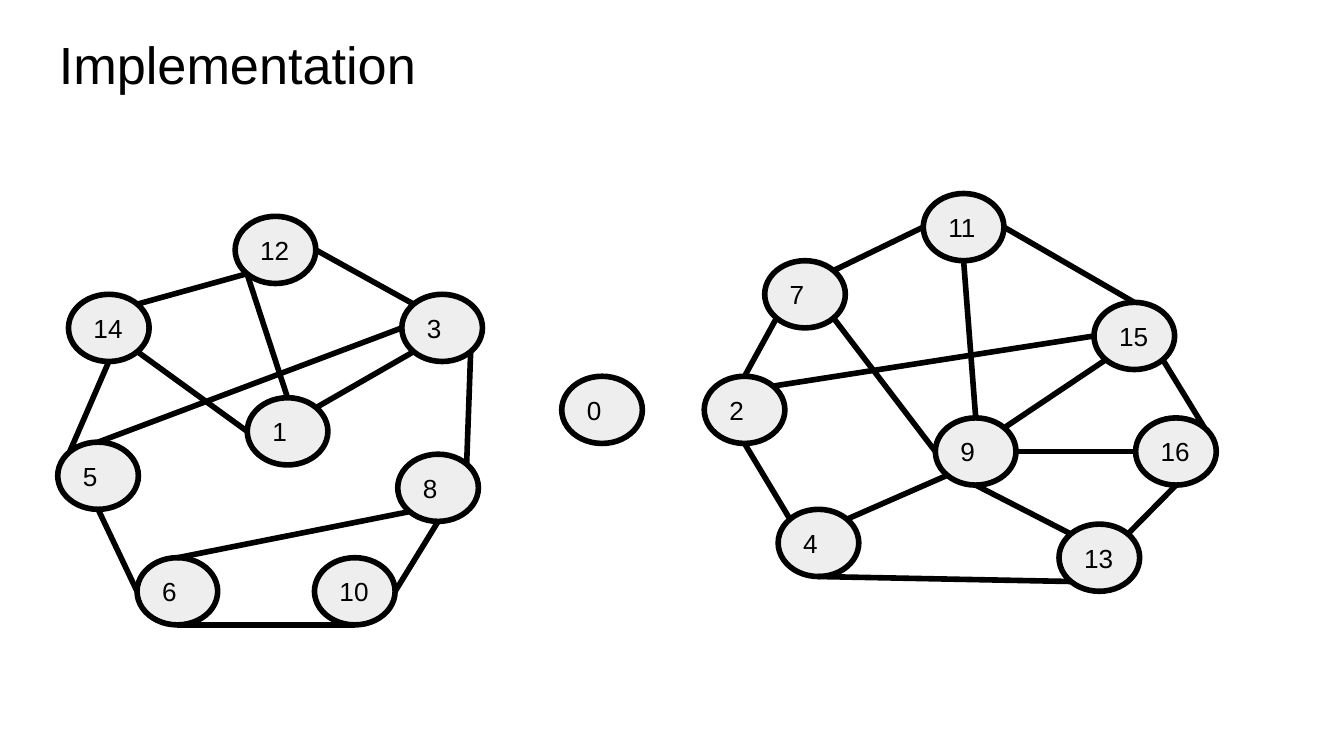
import math

import pptx
import pptx.dml.color
import pptx.enum.shapes
import pptx.enum.text
import pptx.oxml
import pptx.util
from pptx.util import Inches

BLACK = pptx.dml.color.RGBColor(0x00, 0x00, 0x00)
NODE_FILL = pptx.dml.color.RGBColor(0xEE, 0xEE, 0xEE)
FONT = "Arial"
LINE_WIDTH = pptx.util.Pt(3)
SLIDE_WIDTH = Inches(10)
SLIDE_HEIGHT = SLIDE_WIDTH * 9 // 16
NODE_WIDTH, NODE_HEIGHT = 0.6, 0.5

TITLE = "Implementation"

# Label: left and top of each node
NODES = {
    12: (1.75, 1.61), 14: (0.51, 2.19), 3: (2.99, 2.19), 1: (1.84, 2.96),
    8: (2.96, 3.38), 5: (0.43, 3.29), 6: (1.02, 4.15), 10: (2.34, 4.15),
    0: (4.18, 2.8),
    11: (6.87, 1.44), 7: (5.69, 1.94), 15: (8.14, 2.25), 2: (5.24, 2.8),
    4: (5.79, 3.79), 16: (8.45, 3.11), 9: (6.96, 3.11), 13: (7.88, 3.9),
}

# Each edge joins a compass point of one node to a compass point of another
EDGES = [
    (12, "sw", 14, "ne"), (12, "sw", 1, "n"), (3, "se", 8, "ne"),
    (8, "s", 10, "e"), (10, "s", 6, "s"), (6, "w", 5, "s"),
    (14, "se", 1, "w"), (1, "ne", 3, "sw"), (3, "w", 5, "n"),
    (8, "sw", 6, "n"),
    (11, "w", 7, "ne"), (11, "e", 15, "n"), (15, "se", 16, "ne"),
    (16, "s", 13, "ne"), (2, "s", 4, "nw"), (7, "sw", 2, "n"),
    (2, "ne", 15, "w"), (9, "sw", 4, "ne"), (9, "s", 13, "nw"),
    (4, "s", 13, "sw"), (9, "e", 16, "w"), (11, "s", 9, "n"),
    (15, "sw", 9, "ne"), (9, "w", 7, "se"),
    (5, "nw", 14, "s"), (3, "nw", 12, "e"),
]
COMPASS = ["e", "se", "s", "sw", "w", "nw", "n", "ne"]


def write_text(shape, text, size, anchor):
    frame = shape.text_frame
    frame.word_wrap = True
    frame.vertical_anchor = anchor
    frame.margin_left = frame.margin_right = Inches(0.1)
    frame.margin_top = frame.margin_bottom = Inches(0.1)
    paragraph = frame.paragraphs[0]
    paragraph.text = text
    paragraph.alignment = pptx.enum.text.PP_ALIGN.LEFT
    paragraph.font.name = FONT
    paragraph.font.size = pptx.util.Pt(size)
    paragraph.font.color.rgb = BLACK


def add_node(slide, label, left, top):
    node = slide.shapes.add_shape(
        pptx.enum.shapes.MSO_SHAPE.OVAL, Inches(left), Inches(top),
        Inches(NODE_WIDTH), Inches(NODE_HEIGHT))
    node.shadow.inherit = False
    node.fill.solid()
    node.fill.fore_color.rgb = NODE_FILL
    node.line.color.rgb = BLACK
    node.line.width = LINE_WIDTH
    write_text(node, str(label), 14, pptx.enum.text.MSO_ANCHOR.MIDDLE)


def rim_point(label, direction):
    """Return the point on a node's outline in a compass direction."""
    left, top = NODES[label]
    angle = COMPASS.index(direction) * math.pi / 4
    return (Inches(left + NODE_WIDTH / 2 * (1 + math.cos(angle))),
            Inches(top + NODE_HEIGHT / 2 * (1 + math.sin(angle))))


def add_edge(slide, start, start_side, end, end_side):
    edge = slide.shapes.add_connector(
        pptx.enum.shapes.MSO_CONNECTOR.STRAIGHT,
        *rim_point(start, start_side), *rim_point(end, end_side))
    edge.line.color.rgb = BLACK
    edge.line.width = LINE_WIDTH
    properties = edge.element.spPr
    properties.append(pptx.oxml.parse_xml(
        '<a:effectLst xmlns:a='
        '"http://schemas.openxmlformats.org/drawingml/2006/main"/>'))


def main():
    presentation = pptx.Presentation()
    presentation.slide_width = SLIDE_WIDTH
    presentation.slide_height = SLIDE_HEIGHT
    slide = presentation.slides.add_slide(presentation.slide_layouts[6])

    title = slide.shapes.add_textbox(
        Inches(0.34), Inches(0.14), Inches(5.2), Inches(0.56))
    write_text(title, TITLE, 28, pptx.enum.text.MSO_ANCHOR.TOP)
    for label, (left, top) in NODES.items():
        add_node(slide, label, left, top)
    for edge in EDGES:
        add_edge(slide, *edge)

    presentation.save("out.pptx")


if __name__ == "__main__":
    main()
